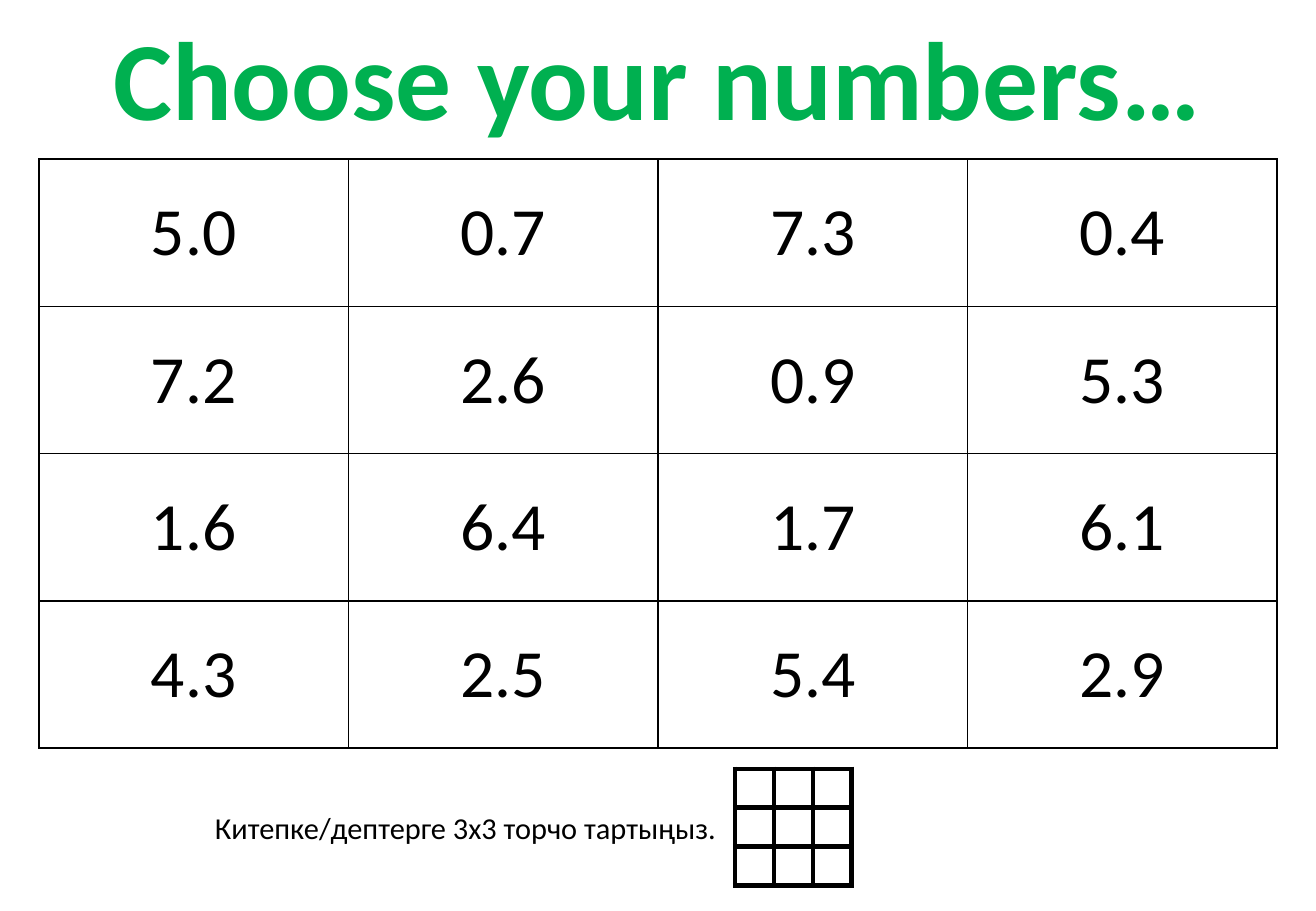
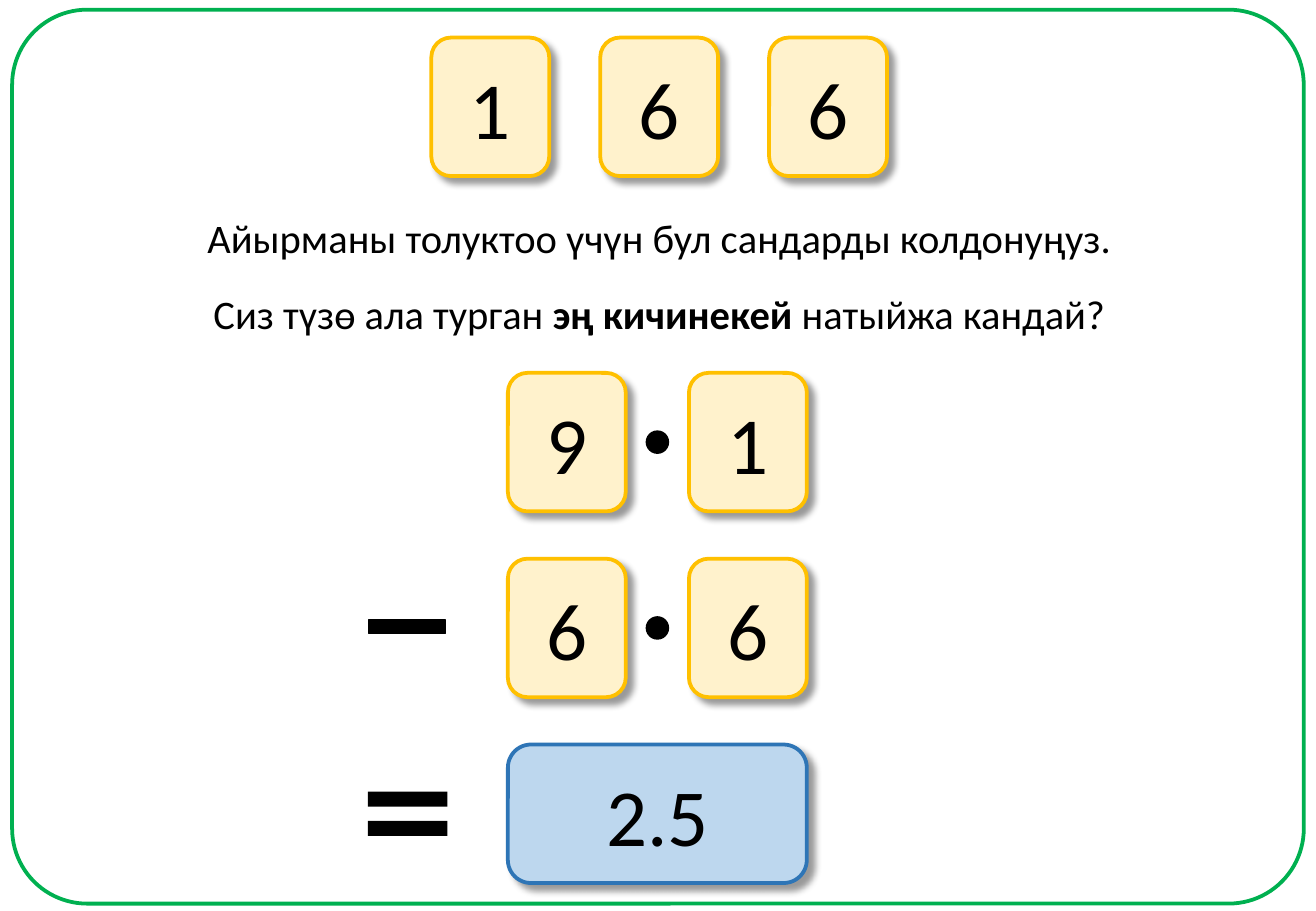
from lxml.etree import SubElement
from pptx import Presentation
from pptx.dml.color import RGBColor
from pptx.enum.shapes import MSO_SHAPE as SHAPE
from pptx.enum.text import MSO_ANCHOR as ANCHOR, MSO_AUTO_SIZE as AUTO_SIZE, PP_ALIGN as ALIGN
from pptx.oxml import parse_xml
from pptx.oxml.ns import nsdecls, qn
from pptx.util import Inches, Pt

BLACK = RGBColor(0x00, 0x00, 0x00)
WHITE = RGBColor(0xFF, 0xFF, 0xFF)
GREEN = RGBColor(0x00, 0xB0, 0x50)
CREAM = RGBColor(0xFF, 0xF2, 0xCC)
AMBER = RGBColor(0xFF, 0xC0, 0x00)
PALE_BLUE = RGBColor(0xBD, 0xD7, 0xEE)
BLUE = RGBColor(0x2E, 0x75, 0xB6)
FONT = "Calibri"

SHADOW = (
    f'<a:outerShdw {nsdecls("a")} blurRad="50800" dist="63500" dir="2700000" algn="tl" rotWithShape="0">'
    '<a:srgbClr val="000000"><a:alpha val="40000"/></a:srgbClr></a:outerShdw>'
)


def write(frame, *parts, size=18, color=BLACK, bold=False, align=ALIGN.CENTER, wrap=False):
    """Fill a text frame with one paragraph; a (text, True) part is bold."""
    frame.word_wrap = wrap
    frame.vertical_anchor = ANCHOR.MIDDLE
    paragraph = frame.paragraphs[0]
    paragraph.alignment = align
    for part in parts:
        words, strong = part if isinstance(part, tuple) else (part, bold)
        run = paragraph.add_run()
        run.text = words
        run.font.name = FONT
        run.font.size = Pt(size)
        run.font.bold = strong
        run.font.color.rgb = color


def draw(slide, kind, left, top, width, height, fill=None, line=None, weight=2.25, adjust=(), shadow=False):
    """Add a preset shape with its own fill, line and optional shadow."""
    shape = slide.shapes.add_shape(kind, Inches(left), Inches(top), Inches(width), Inches(height))
    shape.shadow.inherit = False
    if shadow:
        shape._element.spPr.find(qn("a:effectLst")).append(parse_xml(SHADOW))
    for index, value in enumerate(adjust):
        shape.adjustments[index] = value
    if fill is None:
        shape.fill.background()
    else:
        shape.fill.solid()
        shape.fill.fore_color.rgb = fill
    if line is None:
        shape.line.fill.background()
    else:
        shape.line.color.rgb = line
        shape.line.width = Pt(weight)
    return shape


deck = Presentation()
deck.slide_width, deck.slide_height = Inches(10.83), Inches(7.5)
TITLE_ONLY, BLANK = deck.slide_layouts[5], deck.slide_layouts[6]

# Slide 1: number choice
choice = deck.slides.add_slide(TITLE_ONLY)
title = choice.shapes.title
title.left, title.top, title.width, title.height = Inches(0.79), Inches(0.02), Inches(9.24), Inches(1.21)
title.text_frame.auto_size = AUTO_SIZE.NONE
write(title.text_frame, "Choose your numbers…", size=66, color=GREEN, bold=True)

# Number table and the empty 3 by 3 grid
NUMBERS = [
    ["5.0", "0.7", "7.3", "0.4"],
    ["7.2", "2.6", "0.9", "5.3"],
    ["1.6", "6.4", "1.7", "6.1"],
    ["4.3", "2.5", "5.4", "2.9"],
]
EMPTY_GRID = [[""] * 3] * 3
for rows, box, border in (
    (NUMBERS, (0.32, 1.31, 10.19, 4.85), 1),
    (EMPTY_GRID, (6.05, 6.33, 0.96, 0.96), 3),
):
    grid = choice.shapes.add_table(len(rows), len(rows[0]), *map(Inches, box)).table
    grid.first_row = grid.horz_banding = False
    for r, row in enumerate(rows):
        for c, number in enumerate(row):
            cell = grid.cell(r, c)
            cell.margin_left = cell.margin_right = cell.margin_top = cell.margin_bottom = 0
            cell.vertical_anchor = ANCHOR.MIDDLE
            for side in ("lnL", "lnR", "lnT", "lnB"):
                edge = SubElement(cell._tc.tcPr, qn(f"a:{side}"), w=str(Pt(border)))
                SubElement(SubElement(edge, qn("a:solidFill")), qn("a:srgbClr"), val=str(BLACK))
            cell.fill.solid()
            cell.fill.fore_color.rgb = WHITE
            if number:
                write(cell.text_frame, number, size=40, wrap=None)

# Instruction beside the small grid
instruction = choice.shapes.add_textbox(Inches(1.67), Inches(6.61), Inches(4.38), Inches(0.4))
write(instruction.text_frame, "Китепке/дептерге 3х3 торчо тартыңыз.", align=ALIGN.LEFT)

# Slide 2: subtraction puzzle
puzzle = deck.slides.add_slide(BLANK)
draw(puzzle, SHAPE.ROUNDED_RECTANGLE, 0.1, 0.08, 10.63, 7.36, line=GREEN, adjust=[0.084])

# Question
QUESTION = [
    (1.7, ["Айырманы толуктоо үчүн бул сандарды колдонуңуз."]),
    (2.33, ["Сиз түзө ала турган ", ("эң кичинекей ", True), "натыйжа кандай?"]),
]
for top, parts in QUESTION:
    sentence = puzzle.shapes.add_textbox(Inches(1.57), Inches(top), Inches(7.71), Inches(0.5))
    write(sentence.text_frame, *parts, size=24)

# Digit cards: the given row, the two decimals and the result
CARD_W, CARD_H = 0.97, 1.14
LEFT, RIGHT = 4.18, 5.67
FIRST, STEP = 3.07, 1.53
SECOND, RESULT = FIRST + STEP, FIRST + 2 * STEP
cards = [(digit, 3.55 + 1.39 * i, 0.31, CARD_W, CREAM, AMBER) for i, digit in enumerate("166")]
for top, digits in ((FIRST, "91"), (SECOND, "66")):
    cards += [(digit, left, top, CARD_W, CREAM, AMBER) for digit, left in zip(digits, (LEFT, RIGHT))]
    draw(puzzle, SHAPE.OVAL, 5.32, top + 0.48, 0.18, 0.18, fill=BLACK, line=BLACK, weight=1)
cards.append(("2.5", LEFT, RESULT, RIGHT + CARD_W - LEFT, PALE_BLUE, BLUE))
for digits, left, top, width, fill, line in cards:
    card = draw(puzzle, SHAPE.ROUNDED_RECTANGLE, left, top, width, CARD_H, fill, line, shadow=True)
    write(card.text_frame, digits, size=48, wrap=True)

# Operators
draw(puzzle, SHAPE.MATH_MINUS, 2.92, 4.73, 0.86, 0.86, fill=BLACK, line=BLACK, weight=1, adjust=[0.132])
draw(puzzle, SHAPE.MATH_EQUAL, 2.91, 6.2, 0.89, 1, fill=BLACK, adjust=[0.123, 0.118])

deck.save("out.pptx")
